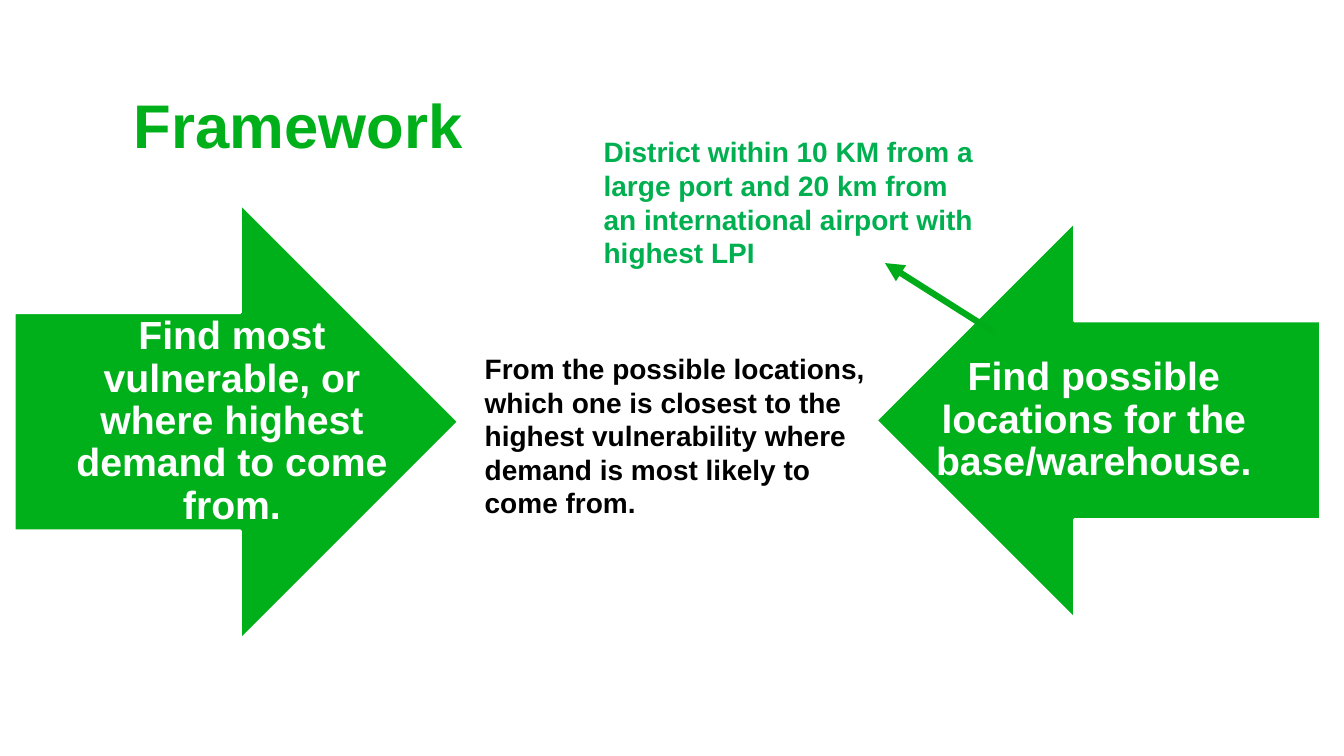
import dataclasses

import pptx
import pptx.dml.color
import pptx.enum.shapes
import pptx.enum.text
import pptx.oxml
import pptx.oxml.ns
import pptx.util

Pt = pptx.util.Pt
Align = pptx.enum.text.PP_ALIGN
Shape = pptx.enum.shapes.MSO_SHAPE


@dataclasses.dataclass(frozen=True)
class Theme:
    font: str = "Arial"
    green: str = "00B01A"
    pointer_green: str = "00AC19"
    note_green: str = "00B050"
    white: str = "FFFFFF"
    black: str = "000000"
    title_size: float = 44
    arrow_size: float = 28
    note_size: float = 20


def rgb(color):
    return pptx.dml.color.RGBColor.from_string(color)


class Painter:
    """Holds the theme and the current slide."""

    def __init__(self, slide, theme):
        self.slide = slide
        self.theme = theme

    def text(self, area, words, size, color, inset=(7.2, 7.2),
             align=Align.LEFT, spacing=1.0):
        box = self.slide.shapes.add_textbox(*map(Pt, area))
        frame = box.text_frame
        frame.word_wrap = True
        frame.vertical_anchor = pptx.enum.text.MSO_ANCHOR.MIDDLE
        frame.margin_left = frame.margin_right = Pt(inset[0])
        frame.margin_top = frame.margin_bottom = Pt(inset[1])
        para = frame.paragraphs[0]
        para.alignment = align
        para.line_spacing = spacing
        span = para.add_run()
        span.text = words
        span.font.name = self.theme.font
        span.font.size = Pt(size)
        span.font.bold = True
        span.font.color.rgb = rgb(color)

    def block_arrow(self, kind, area, words):
        arrow = self.slide.shapes.add_shape(kind, *map(Pt, area))
        arrow.shadow.inherit = False
        arrow.fill.solid()
        arrow.fill.fore_color.rgb = rgb(self.theme.green)
        arrow.line.color.rgb = rgb(self.theme.white)
        arrow.line.width = Pt(2)
        # The label covers the shaft, half as high as the arrow
        left, top, width, height = area
        label_width = 260
        label = (left + 25.6, top + height / 4, label_width, height / 2)
        self.text(label, words, self.theme.arrow_size, self.theme.white,
                  inset=(0, 22.3), align=Align.CENTER, spacing=0.9)

    def pointer(self, start, end):
        line = self.slide.shapes.add_connector(
            pptx.enum.shapes.MSO_CONNECTOR.STRAIGHT, *map(Pt, start + end))
        line.line.color.rgb = rgb(self.theme.pointer_green)
        line.line.width = Pt(4.5)
        head = pptx.oxml.parse_xml(
            f'<a:tailEnd {pptx.oxml.ns.nsdecls("a")} type="triangle"/>')
        line.line._get_or_add_ln().append(head)
        no_shadow = pptx.oxml.parse_xml(
            f'<a:effectLst {pptx.oxml.ns.nsdecls("a")}/>')
        line._element.spPr.append(no_shadow)


def main():
    deck = pptx.Presentation()
    deck.slide_width, deck.slide_height = Pt(960), Pt(540)
    page = deck.slides.add_slide(deck.slide_layouts[6])
    theme = Theme()
    painter = Painter(page, theme)

    # Title
    painter.text((88.56, 39.6, 828, 104.4), "Framework", theme.title_size,
                 theme.green, inset=(7.2, 3.6), spacing=0.9)

    # Opposing arrows
    painter.block_arrow(
        Shape.RIGHT_ARROW, (10.08, 145.44, 317.52, 311.76),
        "Find most vulnerable, or where highest demand to come from.")
    painter.block_arrow(
        Shape.LEFT_ARROW, (625.68, 158.4, 317.52, 283.68),
        "Find possible locations for the base/warehouse.")

    # Question between the arrows
    painter.text(
        (339.12, 251.28, 286.56, 119.52),
        "From the possible locations, which one is closest to the highest "
        "vulnerability where demand is most likely to come from.",
        theme.note_size, theme.black)

    # Location criteria and their pointer
    painter.pointer((710.64, 237.6), (632.16, 187.92))
    painter.text(
        (424.08, 103.68, 286.56, 81.36),
        "District within 10 KM from a large port and 20 km from an "
        "international airport with highest LPI",
        theme.note_size, theme.note_green)

    deck.save("out.pptx")


if __name__ == "__main__":
    main()
